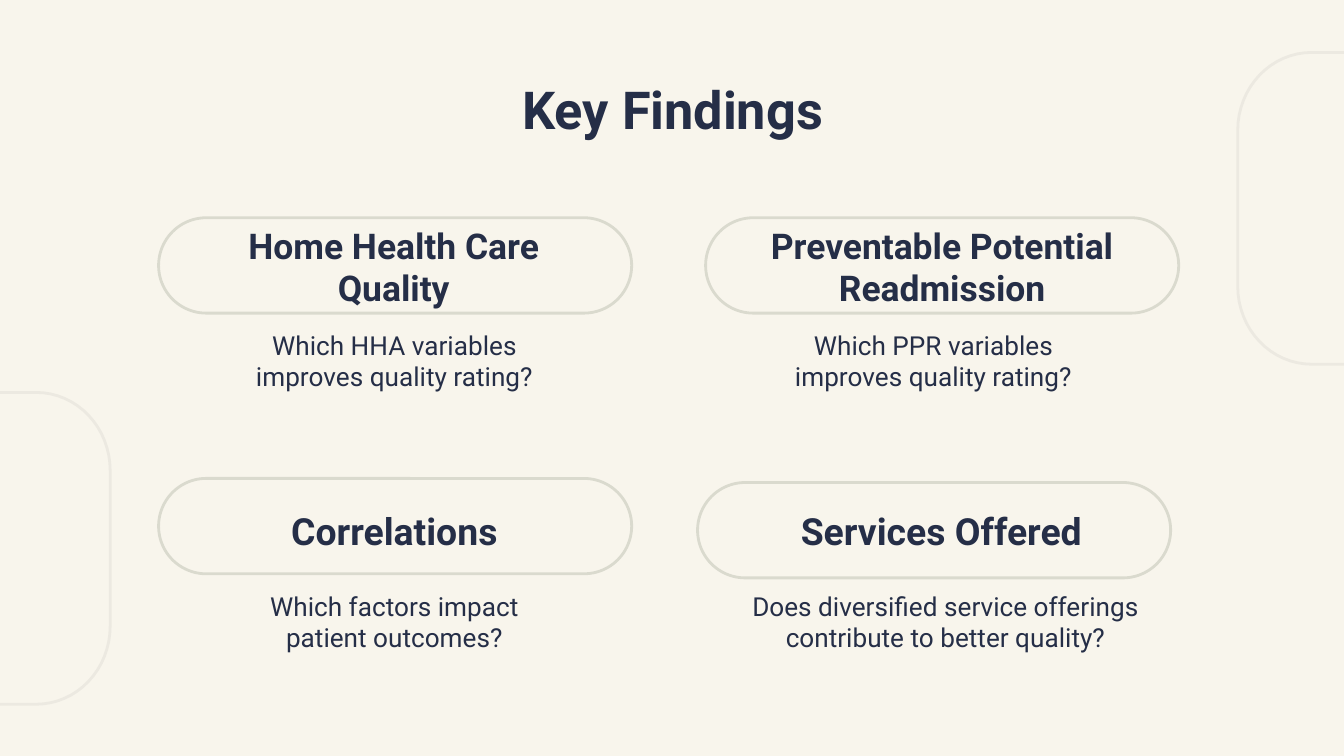
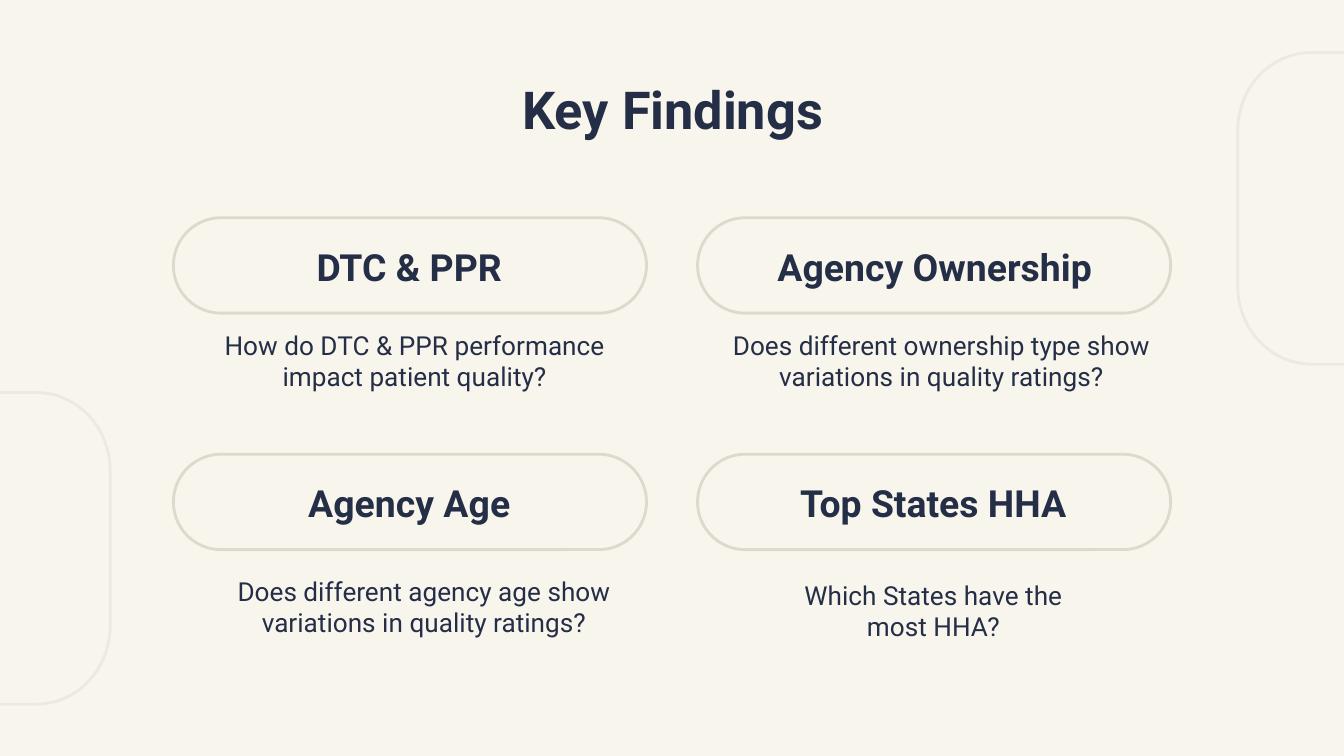
"""Build two Key Findings slides, each with four outlined headings and questions."""
import math

import pptx
import pptx.dml.color
import pptx.enum.shapes
import pptx.enum.text
import pptx.util

PX = 9144
COLORS = {"paper": "F8F5EC", "ink": "252E47", "pill": "DADACE", "frame": "ECE9E1"}
FONT = "Roboto"
PILL_WIDTH, PILL_HEIGHT = 352, 71
HEADING_HEIGHT, QUESTION_HEIGHT = 58, 63
FRAME_WIDTH, FRAME_HEIGHT = 186, 232
CORNER_X, CORNER_Y = 55, 58
CORNER_STEPS = 16
FRAMES = [(921, 39), (-104, 292)]

# Each finding: pill (left, top), heading (text, size, left, top, width),
# question (text, left, top, width).
SLIDES = [
    [
        ((118, 162), ("Home Health Care Quality", 19, 136, 169, 314),
         ("Which HHA variables improves quality rating?", 168, 235, 251)),
        ((525, 162), ("Preventable Potential Readmission", 19, 544, 169, 314),
         ("Which PPR variables improves quality rating?", 569, 235, 251)),
        ((118, 356), ("Correlations", 20, 168, 366, 251),
         ("Which factors impact patient outcomes?", 168, 429, 251)),
        ((519, 359), ("Services Offered", 20, 575, 366, 251),
         ("Does diversified service offerings contribute to better quality?", 544, 429, 319)),
    ],
    [
        ((129, 162), ("DTC & PPR", 20, 179, 169, 251),
         ("How do DTC & PPR performance impact patient quality?", 154, 235, 309)),
        ((519, 162), ("Agency Ownership", 20, 555, 169, 281),
         ("Does different ownership type show variations in quality ratings?", 531, 235, 339)),
        ((129, 338), ("Agency Age", 20, 179, 345, 251),
         ("Does different agency age show variations in quality ratings?", 161, 418, 309)),
        ((519, 338), ("Top States HHA", 20, 569, 345, 251),
         ("Which States have the most HHA?", 569, 421, 251)),
    ],
]


def add_text(page, text, size, left, top, width, height, heading=True):
    box = page.shapes.add_textbox(left * PX, top * PX, width * PX, height * PX)
    frame = box.text_frame
    frame.word_wrap = True
    frame.margin_left = frame.margin_right = 10 * PX
    frame.margin_top = frame.margin_bottom = 10 * PX
    anchors = pptx.enum.text.MSO_ANCHOR
    frame.vertical_anchor = anchors.MIDDLE if heading else anchors.TOP
    para = frame.paragraphs[0]
    para.text = text
    para.alignment = pptx.enum.text.PP_ALIGN.CENTER
    if not heading:
        para.space_after = pptx.util.Pt(16)
    para.font.name = FONT
    para.font.size = pptx.util.Pt(size)
    para.font.bold = heading
    para.font.color.rgb = pptx.dml.color.RGBColor.from_string(COLORS["ink"])


def outline(shape, color):
    shape.shadow.inherit = False
    shape.fill.background()
    shape.line.color.rgb = pptx.dml.color.RGBColor.from_string(COLORS[color])
    shape.line.width = pptx.util.Pt(1.5)


deck = pptx.Presentation()
deck.slide_width = 1000 * PX
deck.slide_height = deck.slide_width * 9 // 16

for findings in SLIDES:
    page = deck.slides.add_slide(deck.slide_layouts[6])
    page.background.fill.solid()
    page.background.fill.fore_color.rgb = pptx.dml.color.RGBColor.from_string(COLORS["paper"])

    for left, top in FRAMES:
        near_x, far_x = left + CORNER_X, left + FRAME_WIDTH - CORNER_X
        near_y, far_y = top + CORNER_Y, top + FRAME_HEIGHT - CORNER_Y
        centers = [(far_x, far_y), (near_x, far_y), (near_x, near_y), (far_x, near_y)]
        points = []
        for quarter, (center_x, center_y) in enumerate(centers):
            for step in range(CORNER_STEPS + 1):
                angle = (quarter + step / CORNER_STEPS) * math.pi / 2
                points.append(((center_x + CORNER_X * math.cos(angle)) * PX,
                               (center_y + CORNER_Y * math.sin(angle)) * PX))
        builder = page.shapes.build_freeform(*points[0])
        builder.add_line_segments(points[1:], close=True)
        outline(builder.convert_to_shape(), "frame")

    add_text(page, "Key Findings", 28, 79, 49, 843, 63)

    for (left, top), heading, question in findings:
        pill = page.shapes.add_shape(
            pptx.enum.shapes.MSO_SHAPE.ROUNDED_RECTANGLE,
            left * PX, top * PX, PILL_WIDTH * PX, PILL_HEIGHT * PX)
        pill.adjustments[0] = 0.5
        outline(pill, "pill")
        add_text(page, *heading, HEADING_HEIGHT)
        text, *place = question
        add_text(page, text, 14, *place, QUESTION_HEIGHT, heading=False)

deck.save("out.pptx")
